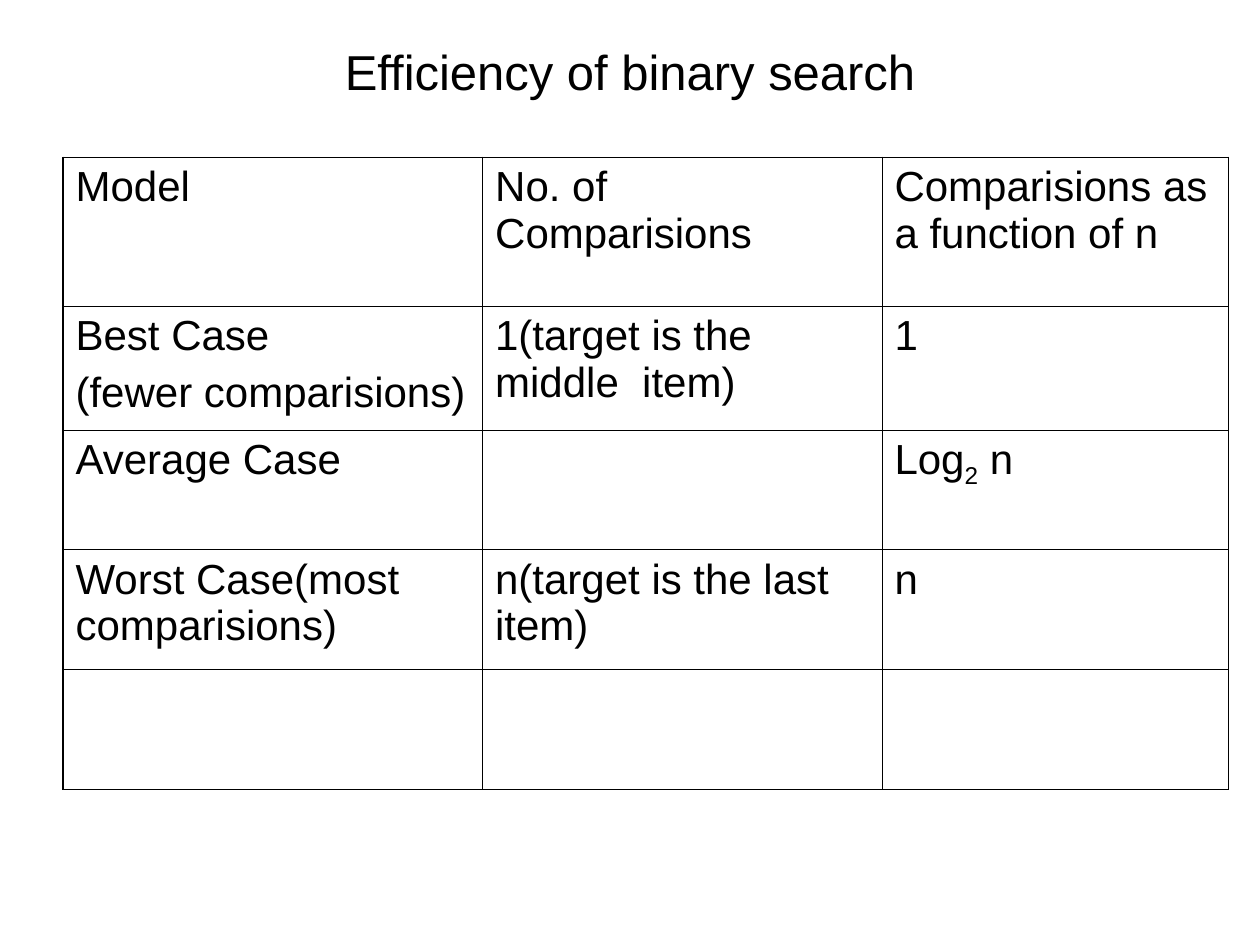
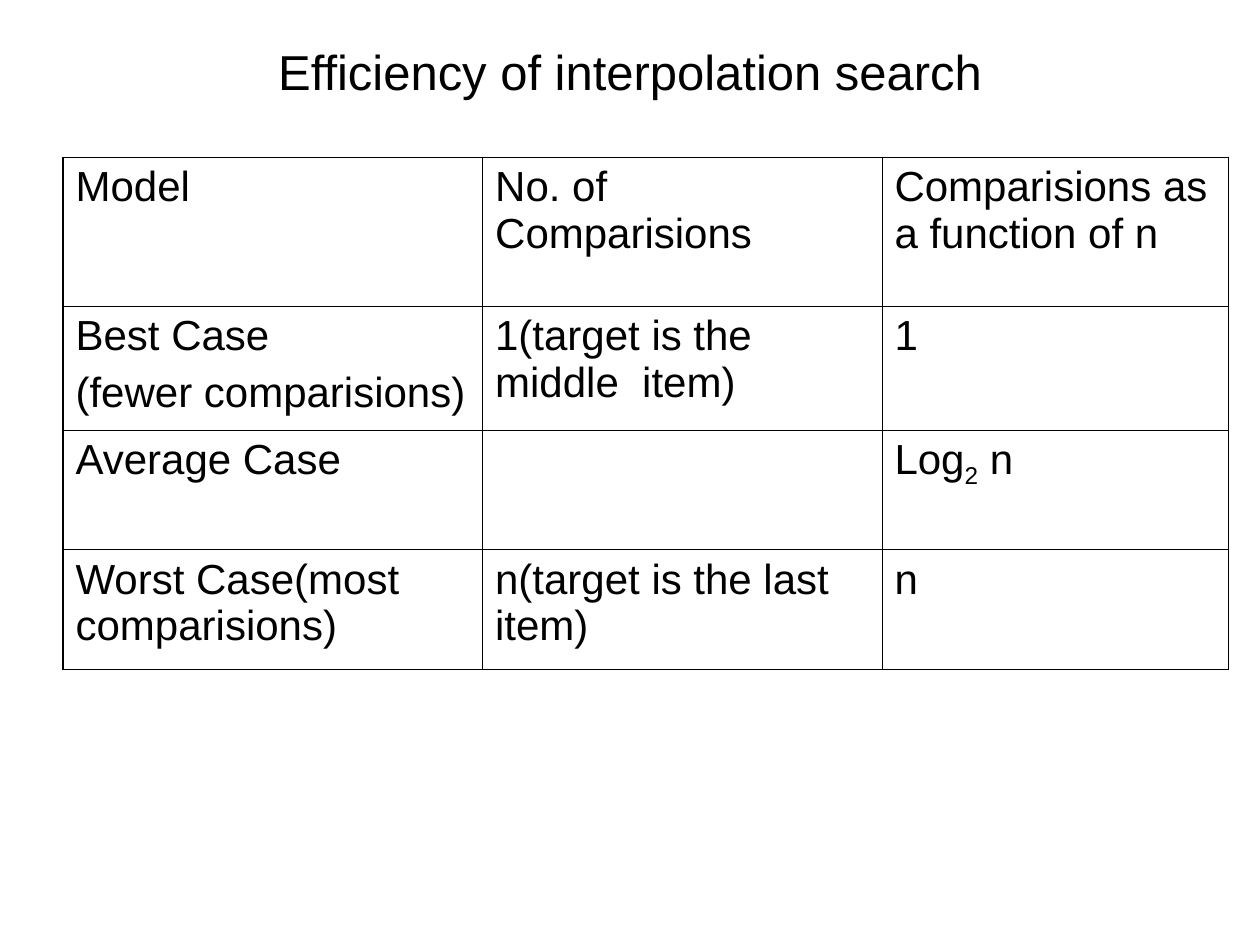
from lxml import etree
from pptx import Presentation
from pptx.dml.color import RGBColor
from pptx.enum import text as txt
from pptx.oxml import ns
from pptx.util import Inches, Pt

COLORS = {"ink": "000000", "page": "FFFFFF"}
FONT = "Arial"
THIN, THICK = 0.45, 1.08
COLS = [3.33, 3.17, 2.75]
HEIGHTS = [1.18, 0.98, 0.95, 0.95, 0.95]
CASES = [
    ["Model", "No. of Comparisions", "Comparisions as a function of n"],
    ["Best Case\n(fewer comparisions)", "1(target is the middle  item)", "1"],
    ["Average Case", "", ("Log", "2", " n")],
    ["Worst Case(most comparisions)", "n(target is the last item)", "n"],
]
BLANK = [""] * len(COLS)


def style(para, size):
    para.font.size = Pt(size)
    para.font.name = FONT
    para.font.color.rgb = RGBColor.from_string(COLORS["ink"])


def add_title(slide, words):
    box = slide.shapes.add_textbox(Inches(0.5), Inches(0.3), Inches(9), Inches(0.53))
    frame = box.text_frame
    frame.word_wrap = True
    frame.vertical_anchor = txt.MSO_ANCHOR.MIDDLE
    para = frame.paragraphs[0]
    para.text = words
    para.alignment = txt.PP_ALIGN.CENTER
    style(para, 28)


def add_edge(cell, side, width):
    props = cell._tc.get_or_add_tcPr()
    line = etree.SubElement(props, ns.qn(f"a:ln{side}"), w=str(Pt(width)))
    fill = etree.SubElement(line, ns.qn("a:solidFill"))
    etree.SubElement(fill, ns.qn("a:srgbClr"), val=COLORS["ink"])


def add_base(para, parts):
    for part in parts:
        para.add_run().text = part
    para.runs[1].font._element.set("baseline", "-25000")


def fill_cell(cell, words):
    if isinstance(words, tuple):
        add_base(cell.text_frame.paragraphs[0], words)
    else:
        cell.text = words
    for i, para in enumerate(cell.text_frame.paragraphs):
        if i:
            para.space_before = Pt(6)
        style(para, 24)


def add_grid(slide, rows):
    heights = HEIGHTS[:len(rows)]
    frame = slide.shapes.add_table(
        len(rows), len(COLS), Inches(0.5), Inches(1.25),
        Inches(sum(COLS)), Inches(sum(heights)))
    table = frame.table
    table.first_row = table.horz_banding = False
    for col, width in zip(table.columns, COLS):
        col.width = Inches(width)
    for r, (row, height) in enumerate(zip(rows, heights)):
        table.rows[r].height = Inches(height)
        for c, words in enumerate(row):
            cell = table.cell(r, c)
            fill_cell(cell, words)
            outer = {"L": c == 0, "R": c == len(COLS) - 1, "T": r == 0, "B": False}
            for side, thick in outer.items():
                add_edge(cell, side, THICK if thick else THIN)
            cell.fill.background()


def add_page(deck, title, rows):
    slide = deck.slides.add_slide(deck.slide_layouts[6])
    slide.background.fill.solid()
    slide.background.fill.fore_color.rgb = RGBColor.from_string(COLORS["page"])
    add_title(slide, title)
    add_grid(slide, rows)


def main():
    deck = Presentation()
    deck.slide_width, deck.slide_height = Inches(10), Inches(7.5)
    add_page(deck, "Efficiency of binary search", CASES + [BLANK])
    add_page(deck, "Efficiency of interpolation search", CASES)
    deck.save("out.pptx")


if __name__ == "__main__":
    main()
